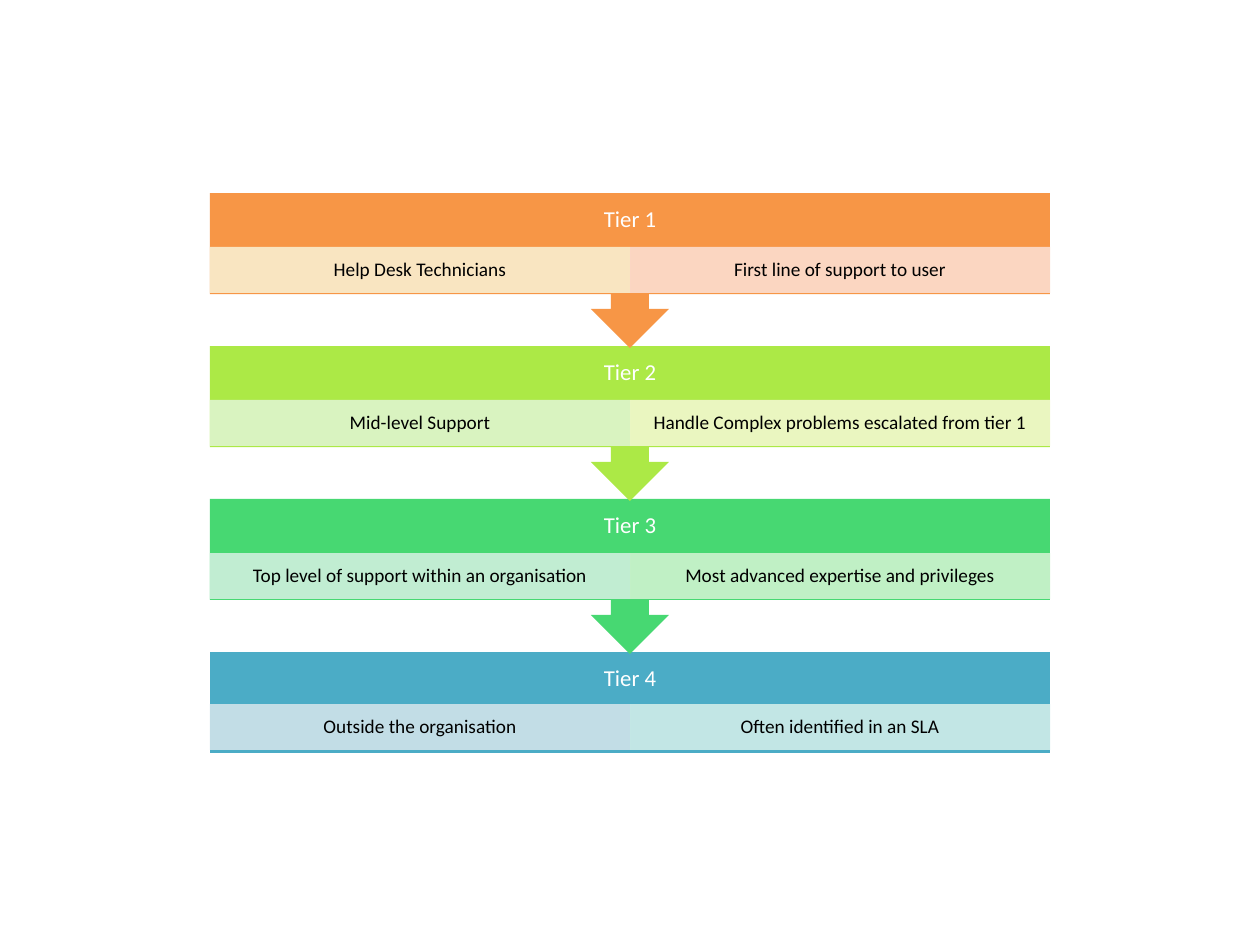
"""Build a slide of four support tiers, each leading down to the next."""
from lxml import etree
from pptx import Presentation
from pptx import util as u
from pptx.dml.color import RGBColor
from pptx.enum import text
from pptx.oxml import ns

EMU_PER_PX = 914400 / 126
SLIDE_WIDTH, SLIDE_HEIGHT = 1260, 945
LEFT, TOP, WIDTH, STEP = 210, 193, 840, 153
BODY_HEIGHT, CELL_HEIGHT = 101, 46
STEM_HALF, HEAD_HALF, HEAD_TOP, TIP = 19, 39, 116, 155

WHITE = RGBColor(0xFF, 0xFF, 0xFF)
BLACK = RGBColor(0x00, 0x00, 0x00)
ORANGE = RGBColor(0xF7, 0x96, 0x46)
LIME = RGBColor(0xAC, 0xE9, 0x46)
GREEN = RGBColor(0x47, 0xD8, 0x72)
BLUE = RGBColor(0x4B, 0xAC, 0xC6)
CREAM = RGBColor(0xFA, 0xEE, 0xCF)
PEACH = RGBColor(0xFC, 0xDD, 0xCF)
PALE_LIME = RGBColor(0xDE, 0xF5, 0xCE)
PALE_YELLOW = RGBColor(0xF1, 0xF8, 0xCE)
PALE_MINT = RGBColor(0xCF, 0xF0, 0xDD)
PALE_GREEN = RGBColor(0xCE, 0xF3, 0xCF)
PALE_BLUE = RGBColor(0xD0, 0xE3, 0xEA)
PALE_TEAL = RGBColor(0xCF, 0xED, 0xE9)

HEADING = {"name": "Calibri", "size": u.Pt(13)}
DETAIL = {"name": "Calibri", "size": u.Pt(11)}
PARAGRAPH = {
    "alignment": text.PP_ALIGN.CENTER,
    "line_spacing": 0.9,
    "space_after": u.Pt(5),
}

TIERS = [
    ("Tier 1", ORANGE, [("Help Desk Technicians", CREAM),
                        ("First line of support to user", PEACH)]),
    ("Tier 2", LIME, [("Mid-level Support", PALE_LIME),
                      ("Handle Complex problems escalated from tier 1", PALE_YELLOW)]),
    ("Tier 3", GREEN, [("Top level of support within an organisation", PALE_MINT),
                       ("Most advanced expertise and privileges", PALE_GREEN)]),
    ("Tier 4", BLUE, [("Outside the organisation", PALE_BLUE),
                      ("Often identified in an SLA", PALE_TEAL)]),
]


def px(length):
    """Turn a length in px into EMU."""
    return u.Emu(round(length * EMU_PER_PX))


def set_values(target, values):
    """Set each named attribute of the target."""
    for name, value in values.items():
        setattr(target, name, value)


def add_outline(shapes, points, fill, label, font, color, insets):
    """Add a filled, unlined outline with one centred line of text."""
    builder = shapes.build_freeform(*points[0], scale=EMU_PER_PX)
    builder.add_line_segments(points[1:], close=True)
    shape = builder.convert_to_shape()
    shape.shadow.inherit = False
    shape.fill.solid()
    shape.fill.fore_color.rgb = fill
    shape.line.fill.background()
    frame = shape.text_frame
    sides = ("margin_left", "margin_top", "margin_right", "margin_bottom")
    set_values(frame, {side: px(inset) for side, inset in zip(sides, insets)})
    set_values(frame, {"word_wrap": True, "vertical_anchor": text.MSO_ANCHOR.MIDDLE})
    paragraph = frame.paragraphs[0]
    set_values(paragraph, PARAGRAPH)
    run = paragraph.add_run()
    run.text = label
    set_values(run.font, font)
    run.font.color.rgb = color
    return shape


def add_cell(shapes, left, top, width, height, label, fill):
    """Add a slightly transparent detail cell."""
    right, bottom = left + width, top + height
    points = [(left, top), (right, top), (right, bottom), (left, bottom)]
    shape = add_outline(shapes, points, fill, label, DETAIL, BLACK, (11, 3, 11, 3))
    color = next(shape.fill._xPr.iter(ns.qn("a:srgbClr")))
    etree.SubElement(color, ns.qn("a:alpha"), val="90000")


def add_tier(shapes, left, top, width, tier, is_last):
    """Add a tier band with its cells, and a down arrow unless it is last."""
    title, fill, cells = tier
    right, middle, bottom = left + width, left + width // 2, top + BODY_HEIGHT
    points = [(left, top), (right, top), (right, bottom)]
    if not is_last:
        head = top + HEAD_TOP
        points += [(middle + STEM_HALF, bottom), (middle + STEM_HALF, head),
                   (middle + HEAD_HALF, head), (middle, top + TIP),
                   (middle - HEAD_HALF, head), (middle - STEM_HALF, head),
                   (middle - STEM_HALF, bottom)]
    points.append((left, bottom))
    bottom_inset = 59 if is_last else 113
    add_outline(shapes, points, fill, title, HEADING, WHITE, (13, 13, 13, bottom_inset))
    cell_top = top + (52 if is_last else 54)
    cell_width = width // len(cells)
    for column, (label, cell_fill) in enumerate(cells):
        add_cell(shapes, left + column * cell_width, cell_top,
                 cell_width, CELL_HEIGHT, label, cell_fill)


def main():
    """Build and save the slide."""
    presentation = Presentation()
    set_values(presentation, {"slide_width": px(SLIDE_WIDTH),
                              "slide_height": px(SLIDE_HEIGHT)})
    slide = presentation.slides.add_slide(presentation.slide_layouts[6])
    group = slide.shapes.add_group_shape()
    last = len(TIERS) - 1
    for row in range(last, -1, -1):
        add_tier(group.shapes, LEFT, TOP + row * STEP, WIDTH, TIERS[row], row == last)
    presentation.save("out.pptx")


if __name__ == "__main__":
    main()
